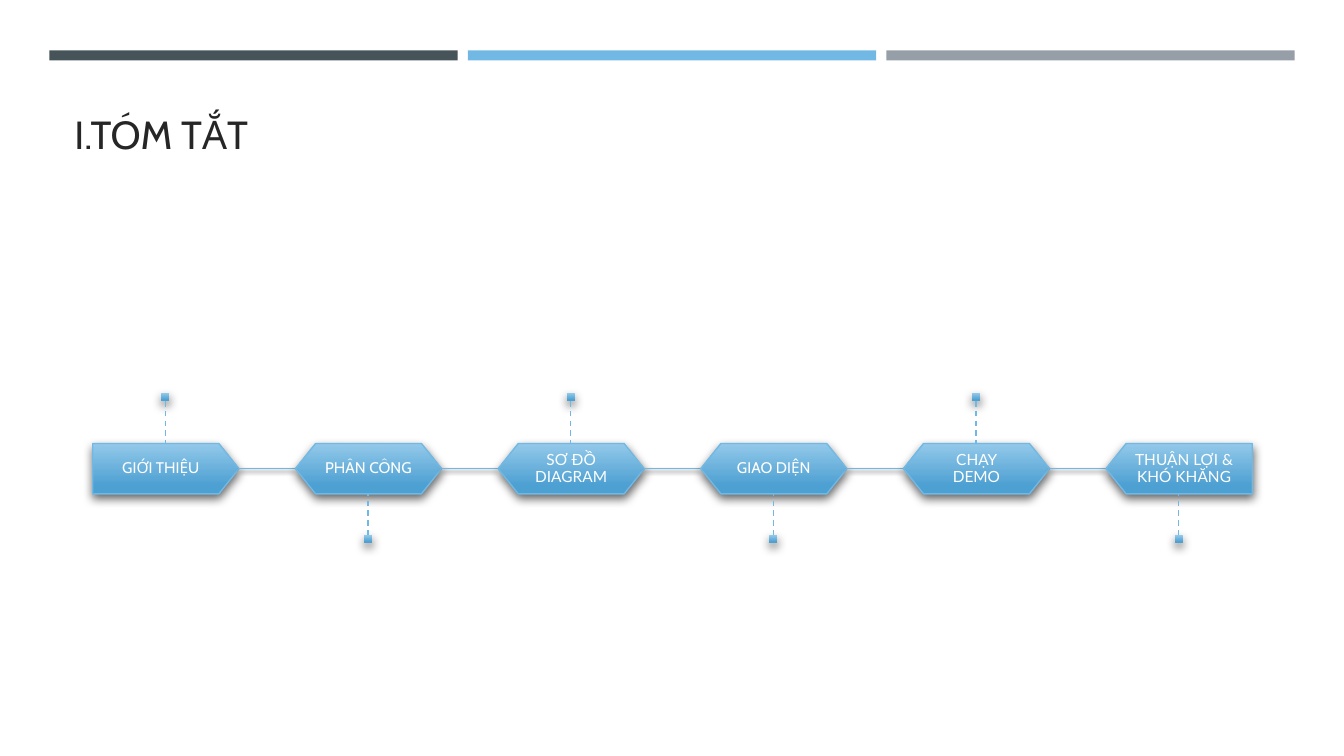
from lxml.etree import SubElement
from pptx import Presentation
from pptx.dml.color import RGBColor
from pptx.enum.dml import MSO_LINE
from pptx.enum.shapes import MSO_CONNECTOR, MSO_SHAPE as SHAPE
from pptx.enum.text import MSO_ANCHOR as ANCHOR, PP_ALIGN as ALIGN
from pptx.oxml.ns import qn
from pptx.util import Pt

EMU_PER_PX = 9144
TOP_SIDE, BOTTOM_SIDE = 0, 2
PLATE_SHADOW = (60, 7, 3, 84)
LINK_SHADOW = (55, 3, 2, 90)
STEPS = [
    ("GIỚI THIỆU", "Cabin"),
    ("PHÂN CÔNG", "Cabin"),
    ("SƠ ĐỒ DIAGRAM", "Lato"),
    ("GIAO DIỆN", "Cabin"),
    ("CHẠY DEMO", "Lato"),
    ("THUẬN LỢI & KHÓ KHĂNG", "Lato"),
]


def px(*lengths):
    return [length * EMU_PER_PX for length in lengths]


def color(value):
    return RGBColor.from_string(value)


class TimelineSlide:
    """Draws styled elements on the current slide."""

    accent, light, deep = "71B9E4", "93C9EA", "4DA0D2"

    def __init__(self, slide):
        self.slide = slide

    def effect(self, shape, shadow=None):
        effects = SubElement(shape.element.spPr, qn("a:effectLst"))
        if shadow:
            opacity, blur, distance, angle = shadow
            outer = SubElement(effects, qn("a:outerShdw"), blurRad=str(Pt(blur)),
                               dist=str(Pt(distance)), dir=str(angle * 60000),
                               algn="ctr", rotWithShape="0")
            black = SubElement(outer, qn("a:srgbClr"), val="000000")
            SubElement(black, qn("a:alpha"), val=str(opacity * 1000))

    def fill_text(self, text_frame, text, font, size, ink):
        text_frame.word_wrap = True
        text_frame.text = text
        paragraph = text_frame.paragraphs[0]
        paragraph.line_spacing = 0.9
        run_font = paragraph.runs[0].font
        run_font.name, run_font.size = font, Pt(size)
        run_font.color.rgb = color(ink)
        return paragraph

    def title(self, text, *box):
        text_frame = self.slide.shapes.add_textbox(*px(*box)).text_frame
        text_frame.vertical_anchor = ANCHOR.BOTTOM
        self.fill_text(text_frame, text, "Cabin", 28, "262626")

    def bar(self, fill, *box):
        shape = self.slide.shapes.add_shape(SHAPE.RECTANGLE, *px(*box))
        shape.fill.solid()
        shape.fill.fore_color.rgb = color(fill)
        shape.line.fill.background()
        self.effect(shape)

    def glossy(self, kind, box, outlined):
        shape = self.slide.shapes.add_shape(kind, *px(*box))
        shape.fill.gradient()
        shape.fill.gradient_angle = 270
        stops = zip(shape.fill.gradient_stops, (0, 0.84), (self.light, self.deep))
        for stop, position, value in stops:
            stop.position = position
            stop.color.rgb = color(value)
        if outlined:
            shape.line.color.rgb = color(self.accent)
            shape.line.width = Pt(1)
        else:
            shape.line.fill.background()
        self.effect(shape, PLATE_SHADOW)
        return shape

    def plate(self, kind, text, font, flipped, *box):
        shape = self.glossy(kind, box, True)
        shape.adjustments[0] = 0.4
        if flipped:
            shape.element.spPr.xfrm.set("flipH", "1")
        text_frame = shape.text_frame
        text_frame.margin_left, text_frame.margin_right = px(9, 9)
        text_frame.margin_top, text_frame.margin_bottom = px(9, 9)
        text_frame.vertical_anchor = ANCHOR.MIDDLE
        paragraph = self.fill_text(text_frame, text, font, 11, "FFFFFF")
        paragraph.alignment = ALIGN.CENTER

    def marker(self, *box):
        return self.glossy(SHAPE.RECTANGLE, box, False)

    def line(self, *ends, dashed=False, shadow=None):
        connector = self.slide.shapes.add_connector(MSO_CONNECTOR.STRAIGHT, *px(*ends))
        connector.line.color.rgb = color(self.accent)
        connector.line.width = Pt(1)
        if dashed:
            connector.line.dash_style = MSO_LINE.DASH
        self.effect(connector, shadow)
        return connector


def main():
    presentation = Presentation()
    presentation.slide_width, presentation.slide_height = px(1333, 750)
    slide = TimelineSlide(presentation.slides.add_slide(presentation.slide_layouts[6]))

    for index, fill in enumerate(("465359", "71B9E4", "969FA7")):
        slide.bar(fill, 49 + 415 * index, 50, 405, 10)
    slide.title("I.TÓM TẮT", 64, 77, 1206, 85)

    width, height, pitch, top = 145, 50, 201, 440
    bottom, size, last = top + height, 8, len(STEPS) - 1
    for index, (text, font) in enumerate(STEPS):
        left = 92 + pitch * index
        kind = SHAPE.PENTAGON if index in (0, last) else SHAPE.HEXAGON
        slide.plate(kind, text, font, index == last, left, top, width, height)
        if index < last:
            middle = top + height // 2
            slide.line(left + width, middle, left + pitch, middle, shadow=LINK_SHADOW)

        above = index % 2 == 0
        marker_top, start, end, side = (
            (390, 398, top, BOTTOM_SIDE) if above else (531, 531, bottom, TOP_SIDE))
        marker = slide.marker(left + 68, marker_top, size, size)
        center = left + 68 + size // 2
        stem = slide.line(center, start, center, end, dashed=True)
        stem.begin_connect(marker, side)

    presentation.save("out.pptx")


if __name__ == "__main__":
    main()
